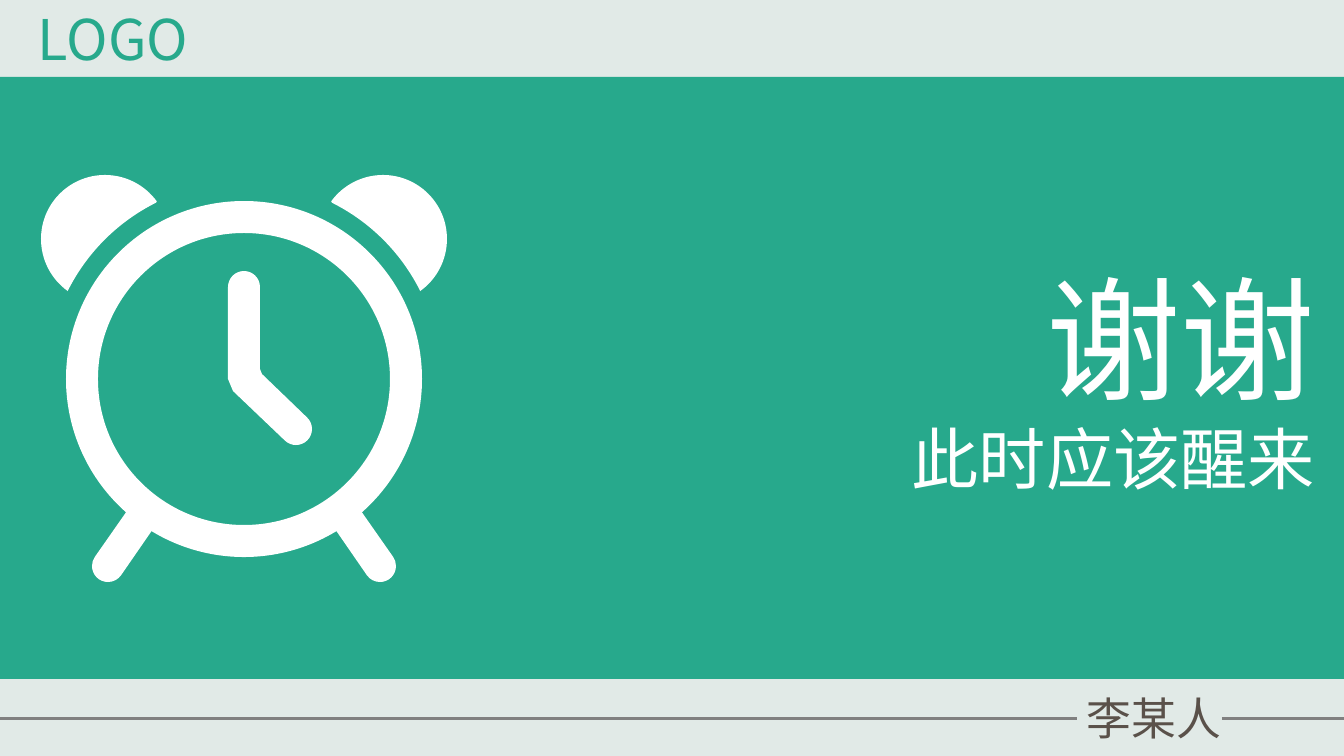
import math
from dataclasses import dataclass

import lxml.etree
import pptx
import pptx.dml.color
import pptx.enum.shapes
import pptx.enum.text
import pptx.oxml.ns
import pptx.util

PX = 914400 / 100.8
ALIGN = pptx.enum.text.PP_ALIGN


@dataclass(frozen=True)
class Theme:
    """Colours, font and type sizes of the deck."""
    font: str = "Noto Sans CJK JP"
    paper: str = "E1EAE7"
    green: str = "27A98C"
    white: str = "FFFFFF"
    rule: str = "808080"
    ink: str = "5A514A"
    thanks: int = 96
    subtitle: int = 48
    logo: int = 40
    author: int = 32
    rule_width: float = 2.25


THEME = Theme()


def px(length):
    """Turn a length in px into EMU."""
    return pptx.util.Emu(round(length * PX))


def rgb(colour):
    """Return a colour object for a hex string."""
    return pptx.dml.color.RGBColor.from_string(colour)


def paint(shape, colour):
    """Give a shape a flat fill without line or shadow."""
    shape.fill.solid()
    shape.fill.fore_color.rgb = rgb(colour)
    shape.line.fill.background()
    shape.shadow.inherit = False


def write(shape, lines, colour, align):
    """Write (text, size) lines into a shape, one paragraph each."""
    frame = shape.text_frame
    frame_format = {
        "word_wrap": True,
        "vertical_anchor": pptx.enum.text.MSO_ANCHOR.TOP,
        "auto_size": pptx.enum.text.MSO_AUTO_SIZE.SHAPE_TO_FIT_TEXT,
    }
    for name, value in frame_format.items():
        setattr(frame, name, value)
    for index, (text, size) in enumerate(lines):
        paragraph = frame.add_paragraph() if index else frame.paragraphs[0]
        paragraph.alignment = align
        run = paragraph.add_run()
        run.text = text
        font_format = {"name": THEME.font, "size": pptx.util.Pt(size)}
        for name, value in font_format.items():
            setattr(run.font, name, value)
        run.font.color.rgb = rgb(colour)
        east_asian = lxml.etree.SubElement(run.font._element, pptx.oxml.ns.qn("a:ea"))
        east_asian.set("typeface", THEME.font)


def arc(cx, cy, radius, start, end):
    """Return Bezier points of a clockwise arc, split at each quarter turn."""
    quarters = range(math.floor(start / 90) * 90 + 90, math.ceil(end / 90) * 90, 90)
    stops = [math.radians(angle) for angle in (start, *quarters, end)]

    def point(angle, pull=0):
        """Return the point at an angle, moved along its tangent."""
        return (cx + radius * (math.cos(angle) - pull * math.sin(angle)),
                cy + radius * (math.sin(angle) + pull * math.cos(angle)))

    points = [point(stops[0])]
    for a, b in zip(stops, stops[1:]):
        pull = 4 / 3 * math.tan((b - a) / 4)
        points += [point(a, pull), point(b, -pull), point(b)]
    return points


def mirror(points):
    """Reflect points in the vertical axis, keeping the direction of travel."""
    return [(-x, y) for x, y in reversed(points)]


def join(first, *others):
    """Join Bezier pieces by straight segments."""
    outline = list(first)
    for piece in others:
        outline += [outline[-1], piece[0], *piece]
    return outline


def draw_outline(group, centre, contours):
    """Add one white curved freeform whose contours are relative to a centre."""
    placed = [[(px(centre[0] + x), px(centre[1] + y)) for x, y in contour]
              for contour in contours]
    builder = group.shapes.build_freeform(*placed[0][0], scale=1.0)
    builder.add_line_segments(placed[0][1:], close=True)
    for hole in placed[1:]:
        builder.move_to(*hole[0])
        builder.add_line_segments(hole[1:], close=True)
    shape = builder.convert_to_shape()
    paint(shape, THEME.white)
    steps = list(shape._element.iter(pptx.oxml.ns.qn("a:lnTo")))
    for triple in zip(steps[::3], steps[1::3], steps[2::3]):
        curve = lxml.etree.Element(pptx.oxml.ns.qn("a:cubicBezTo"))
        triple[0].addprevious(curve)
        for step in triple:
            curve.append(step[0])
            step.getparent().remove(step)


def add_clock(slide, left, top, width, height):
    """Draw the alarm clock in its box."""
    centre = (left + width / 2, top + height / 2)
    group = slide.shapes.add_group_shape()
    right_leg = arc(136, 187, 16, -35, 145)
    rim = join(arc(0, 0, 178, 131.5, 408.5), right_leg,
               arc(0, 0, 178, 58.7, 121.3), mirror(right_leg))
    inner_edge = mirror(arc(0, 0, 197, 206.5, 243.5))[::-1]
    right_bell = join(arc(139, -140, 64, -144, 54.5), inner_edge[::-1]
                      if inner_edge[0][1] < inner_edge[-1][1] else inner_edge)
    hands = join(arc(0, -92, 16, 180, 360), [(16, -10)], [(18, -5)],
                 arc(52, 50, 16, -46, 134), [(-11, 12)], [(-16, 0)])
    draw_outline(group, centre, [rim, arc(0, 0, 146, 0, 360)])
    for part in (mirror(right_bell), right_bell, hands):
        draw_outline(group, centre, [part])


def add_band(slide, left, top, width, height):
    """Add the green band."""
    band = slide.shapes.add_shape(pptx.enum.shapes.MSO_SHAPE.RECTANGLE,
                                  *map(px, (left, top, width, height)))
    paint(band, THEME.green)


def add_thanks(slide, left, top, width, height):
    """Place the closing words in the title, in front of the band."""
    title = slide.shapes.title
    box = {"left": left, "top": top, "width": width, "height": height}
    for name, value in box.items():
        setattr(title, name, px(value))
    lines = [("谢谢", THEME.thanks), ("此时应该醒来", THEME.subtitle)]
    write(title, lines, THEME.white, ALIGN.RIGHT)
    slide.shapes.element.append(title.element)


def add_label(slide, box, text, size, colour):
    """Add a one-line text box and return it."""
    label = slide.shapes.add_textbox(*map(px, box))
    write(label, [(text, size)], colour, ALIGN.LEFT)
    return label


def add_rule(slide, start, end, y):
    """Add a horizontal rule and return it."""
    rule = slide.shapes.add_connector(pptx.enum.shapes.MSO_CONNECTOR.STRAIGHT,
                                      px(start), px(y), px(end), px(y))
    rule.line.color.rgb = rgb(THEME.rule)
    rule.line.width = pptx.util.Pt(THEME.rule_width)
    lxml.etree.SubElement(rule._element.spPr, pptx.oxml.ns.qn("a:effectLst"))
    return rule


def add_footer(slide, left, top, width, height):
    """Add the author's name between two rules."""
    middle = top + height / 2
    name_left = left + 1077
    author = add_label(slide, (name_left, top, 168, height),
                       "李某人", THEME.author, THEME.ink)
    add_rule(slide, left, name_left, middle).end_connect(author, 1)
    add_rule(slide, name_left + 145, left + width, middle)


def build_closing(deck):
    """Build the closing slide."""
    slide = deck.slides.add_slide(deck.slide_layouts.get_by_name("Title Only"))
    slide.background.fill.solid()
    slide.background.fill.fore_color.rgb = rgb(THEME.paper)
    add_band(slide, 0, 77, 1344, 602)
    add_clock(slide, 40, 175, 408, 408)
    add_thanks(slide, 470, 251, 855, 254)
    add_label(slide, (28, 0, 449, 78), "LOGO", THEME.logo, THEME.green)
    add_footer(slide, 0, 686, 1344, 65)


def main():
    """Create and save the deck."""
    deck = pptx.Presentation()
    deck.slide_width, deck.slide_height = px(1344), px(756)
    build_closing(deck)
    deck.save("out.pptx")


if __name__ == "__main__":
    main()
